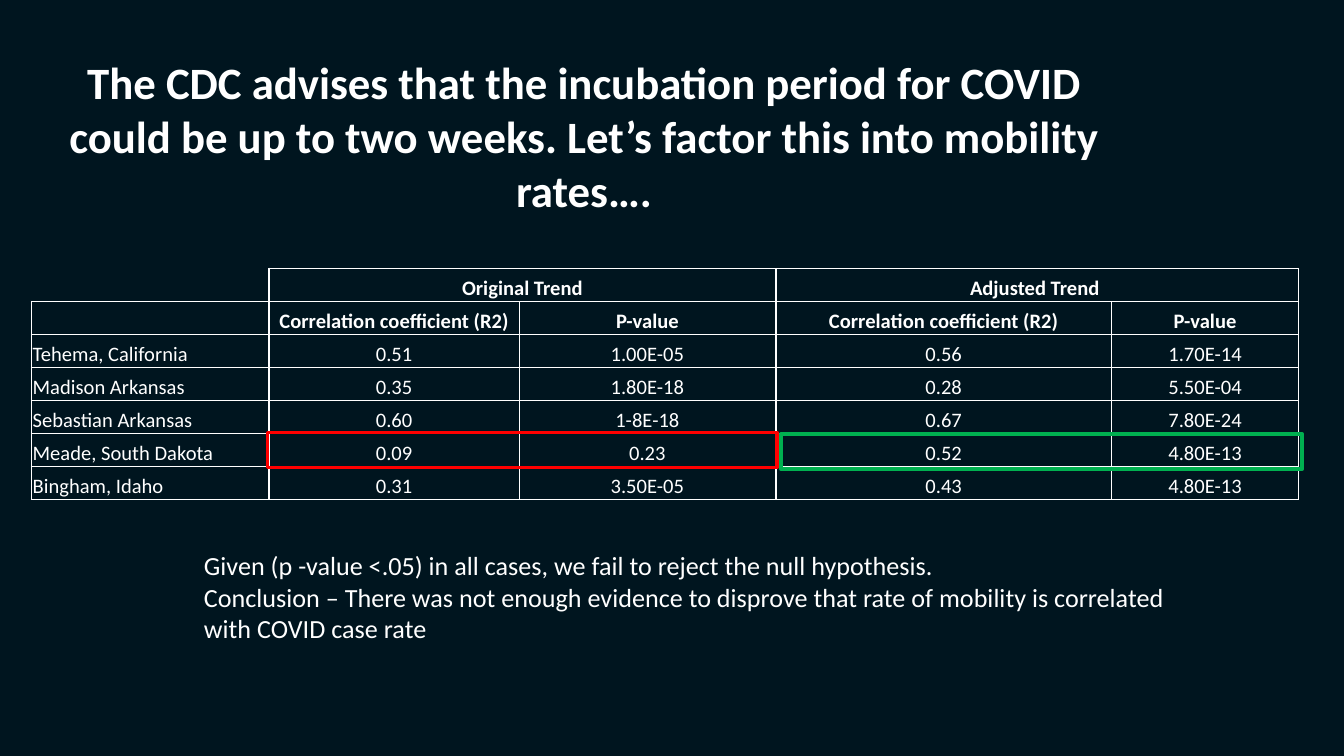
from lxml import etree
from pptx import Presentation
from pptx.dml.color import RGBColor
from pptx.enum import shapes, text
from pptx.oxml.ns import qn
from pptx.util import Pt

NIGHT = RGBColor(0x00, 0x15, 0x1F)
WHITE = RGBColor(0xFF, 0xFF, 0xFF)
RED = RGBColor(0xFF, 0x00, 0x00)
GREEN = RGBColor(0x00, 0xB0, 0x50)
FONT = "Calibri"

# Content
TITLE = ("The CDC advises that the incubation period for COVID could be up to "
         "two weeks. Let’s factor this into mobility rates….")
CONCLUSION = ("Given (p -value <.05) in all cases, we fail to reject the null hypothesis.\v"
              "Conclusion – There was not enough evidence to disprove that rate of "
              "mobility is correlated with COVID case rate")
MEASURES = ["Correlation coefficient (R2)", "P-value"]
ROWS = [
    ["", "Original Trend", "", "Adjusted Trend ", ""],
    [""] + MEASURES * 2,
    ["Tehema, California", "0.51", "1.00E-05", "0.56", "1.70E-14"],
    ["Madison Arkansas", "0.35", "1.80E-18", "0.28", "5.50E-04"],
    ["Sebastian Arkansas", "0.60", "1-8E-18", "0.67", "7.80E-24"],
    ["Meade, South Dakota", "0.09", "0.23", "0.52", "4.80E-13"],
    ["Bingham, Idaho", "0.31", "3.50E-05", "0.43", "4.80E-13"],
]
COLUMN_WIDTHS = [127.4, 133.9, 137.5, 180, 100.1]
ROW_HEIGHT = 17.7
HEADER_ROWS = 2
HIGHLIGHTS = [(418.3, 232.6, 279.4, GREEN), (143.3, 231.8, 272.9, RED)]
HIGHLIGHT_HEIGHT = 18.7


def style(para, size, bold=False, align=text.PP_ALIGN.LEFT):
    para.alignment = align
    font = para.font
    font.name, font.size, font.bold = FONT, Pt(size), bold
    font.color.rgb = WHITE


def add_text(slide, bounds, content, size, **look):
    box = slide.shapes.add_textbox(*map(Pt, bounds))
    box.text_frame.word_wrap = True
    para = box.text_frame.paragraphs[0]
    para.text = content
    style(para, size, **look)
    return box


def set_borders(cell, widths):
    """Draw left, right, top and bottom edges; a width of 0 hides the edge."""
    properties = cell._tc.get_or_add_tcPr()
    for position, (edge, width) in enumerate(zip("LRTB", widths)):
        line = etree.Element(qn(f"a:ln{edge}"), w=str(Pt(width)))
        if width:
            fill = etree.SubElement(line, qn("a:solidFill"))
            etree.SubElement(fill, qn("a:srgbClr"), val=str(WHITE))
        else:
            etree.SubElement(line, qn("a:noFill"))
        properties.insert(position, line)


def add_results(slide):
    frame = slide.shapes.add_table(len(ROWS), len(COLUMN_WIDTHS), Pt(16.8), Pt(143.8),
                                   Pt(sum(COLUMN_WIDTHS)), Pt(ROW_HEIGHT * len(ROWS)))
    table = frame.table
    table.first_row = table.horz_banding = False
    for column, width in zip(table.columns, COLUMN_WIDTHS):
        column.width = Pt(width)
    for r, values in enumerate(ROWS):
        table.rows[r].height = Pt(ROW_HEIGHT)
        for c, value in enumerate(values):
            cell = table.cell(r, c)
            cell.fill.background()
            cell.vertical_anchor = text.MSO_ANCHOR.BOTTOM
            cell.margin_left = cell.margin_right = cell.margin_top = Pt(0.7)
            cell.margin_bottom = 0
            para = cell.text_frame.paragraphs[0]
            para.text = value
            style(para, 11, bold=r < HEADER_ROWS,
                  align=text.PP_ALIGN.CENTER if c else text.PP_ALIGN.LEFT)
            if not value:  # keeps empty cells from stretching their row
                etree.SubElement(para._p, qn("a:endParaRPr"), sz="1100")
            # Heavier lines separate the two trends
            left, right = (1, 0.5) if c % 2 else (0.5, 1)
            top = 1 if r == 0 and c in (1, 2) else 0.5
            corner = r == c == 0
            set_borders(cell, (0, 1, 0, 0.5) if corner else (left, right, top, 0.5))
    for c in (1, 3):
        table.cell(0, c).merge(table.cell(0, c + 1))


def add_highlight(slide, left, top, width, color):
    frame = slide.shapes.add_shape(shapes.MSO_SHAPE.RECTANGLE, Pt(left), Pt(top),
                                   Pt(width), Pt(HIGHLIGHT_HEIGHT))
    frame.shadow.inherit = False
    frame.fill.background()
    frame.line.color.rgb = color
    frame.line.width = Pt(2)


def main():
    deck = Presentation()
    deck.slide_width, deck.slide_height = Pt(720), Pt(405)
    slide = deck.slides.add_slide(deck.slide_layouts[6])
    slide.background.fill.solid()
    slide.background.fill.fore_color.rgb = NIGHT

    # Title
    title = add_text(slide, (28.1, 22.3, 569.5, 36.7), TITLE, 24,
                     bold=True, align=text.PP_ALIGN.CENTER)
    title.text_frame.paragraphs[0].space_after = Pt(6)
    title.text_frame.margin_left = title.text_frame.margin_right = Pt(7.2)
    title.text_frame.margin_top = title.text_frame.margin_bottom = Pt(7.2)

    # Results, conclusion and highlighted county
    add_results(slide)
    add_text(slide, (102.2, 290.9, 534.2, 58.3), CONCLUSION, 14)
    for highlight in HIGHLIGHTS:
        add_highlight(slide, *highlight)

    deck.save("out.pptx")


if __name__ == "__main__":
    main()
